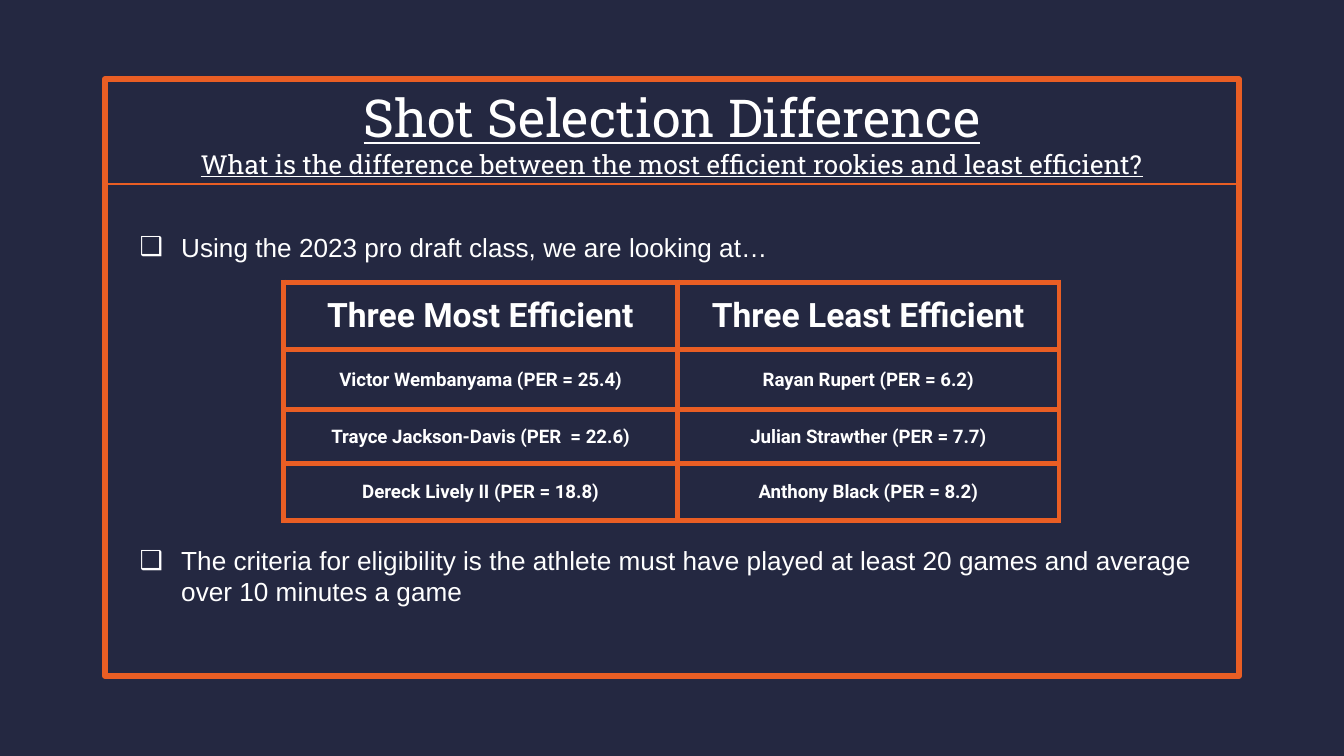
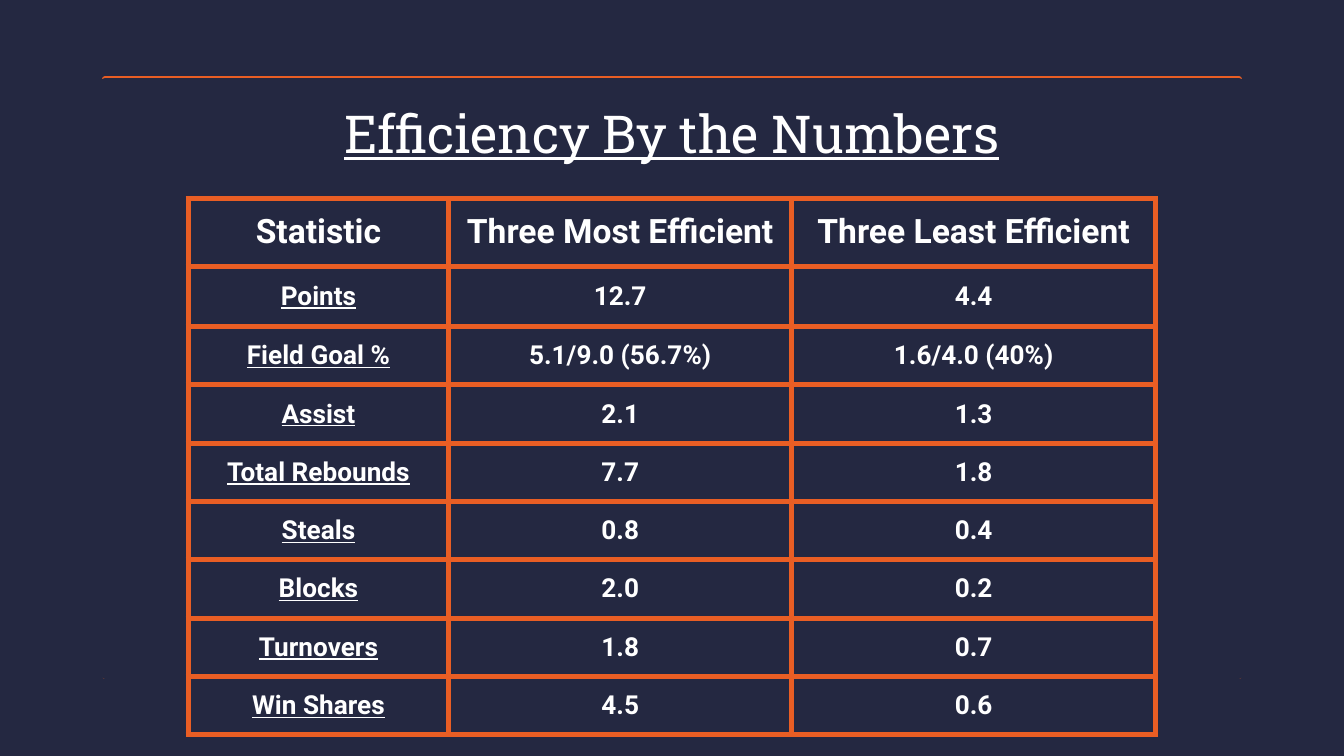
from pptx import Presentation
from pptx.dml.color import RGBColor as Rgb
from pptx.enum.shapes import MSO_SHAPE as Kind
from pptx.enum.text import MSO_ANCHOR as Anchor, PP_ALIGN as Align
from pptx.oxml import parse_xml
from pptx.oxml.ns import nsdecls
from pptx.util import Inches, Pt

HUE = {"navy": "242841", "flame": "E95E24", "white": "FFFFFF"}
SLAB, SANS, PLAIN = "Roboto Slab", "Roboto", "Arial"


def write(frame, text, size=14, font=PLAIN, bold=False, under=False,
          align=Align.CENTER, new=False, before=0, mark=None):
    para = frame.add_paragraph() if new else frame.paragraphs[0]
    para.alignment = align
    para.space_before = Pt(before)
    run = para.add_run()
    run.text = text
    run.font.size = Pt(size)
    run.font.name = font
    run.font.bold = bold
    run.font.underline = under
    run.font.color.rgb = Rgb.from_string(HUE["white"])
    if mark:
        props = para._p.get_or_add_pPr()
        props.set("marL", str(Inches(0.31)))
        props.set("indent", str(-Inches(0.31)))
        props.append(parse_xml(
            f'<a:buClr {nsdecls("a")}><a:srgbClr val="{HUE["white"]}"/></a:buClr>'))
        props.append(parse_xml(f'<a:buFont {nsdecls("a")} typeface="{font}"/>'))
        props.append(parse_xml(f'<a:buChar {nsdecls("a")} char="{mark}"/>'))


def outline(slide, top, high, hue, width):
    box = slide.shapes.add_shape(
        Kind.RECTANGLE, Inches(0.78), Inches(top), Inches(8.44), Inches(high))
    box.shadow.inherit = False
    box.fill.background()
    box.line.color.rgb = Rgb.from_string(HUE[hue])
    box.line.width = Pt(width)
    return box


deck = Presentation()
deck.slide_width = Inches(10)
deck.slide_height = Inches(10 * 9 / 16)

pages = []
for num in range(2):
    page = deck.slides.add_slide(deck.slide_layouts[6])
    page.background.fill.solid()
    page.background.fill.fore_color.rgb = Rgb.from_string(HUE["navy"])
    outline(page, 0.59, 4.44, "flame", 3)
    pages.append(page)
shots, stats = pages

band = outline(shots, 0.6, 0.77, "flame", 0.75)
outline(stats, 0.61, 4.41, "navy", 4.5)
head = stats.shapes.add_textbox(
    Inches(0.78), Inches(0.6), Inches(8.44), Inches(0.77))
for shape, title in [(band, "Shot Selection Difference"),
                     (head, "Efficiency By the Numbers")]:
    frame = shape.text_frame
    frame.word_wrap = True
    frame.vertical_anchor = Anchor.MIDDLE
    frame.margin_top = frame.margin_bottom = Inches(0.1)
    write(frame, title, size=28, font=SLAB, under=True)
write(band.text_frame,
      "What is the difference between the most efficient rookies and least efficient?",
      font=SLAB, under=True, new=True)

body = shots.shapes.add_textbox(
    Inches(0.94), Inches(1.67), Inches(8.15), Inches(2.93)).text_frame
body.word_wrap = True
write(body, "Using the 2023 pro draft class, we are looking at…",
      align=Align.LEFT, mark="❑")
write(body, "The criteria for eligibility is the athlete must have played "
      "at least 20 games and average over 10 minutes a game",
      align=Align.LEFT, mark="❑", new=True, before=151)

most, least = "Three Most Efficient", "Three Least Efficient"
picks = [
    (most, least),
    ("Victor Wembanyama (PER = 25.4)", "Rayan Rupert (PER = 6.2)"),
    ("Trayce Jackson-Davis (PER  = 22.6)", "Julian Strawther (PER = 7.7)"),
    ("Dereck Lively II (PER = 18.8)", "Anthony Black (PER = 8.2)"),
]
scores = [
    ("Statistic", most, least),
    ("Points", "12.7", "4.4"),
    ("Field Goal %", "5.1/9.0 (56.7%)", "1.6/4.0 (40%)"),
    ("Assist", "2.1", "1.3"),
    ("Total Rebounds", "7.7", "1.8"),
    ("Steals", "0.8", "0.4"),
    ("Blocks", "2.0", "0.2"),
    ("Turnovers", "1.8", "0.7"),
    ("Win Shares", "4.5", "0.6"),
]
grids = [
    (shots, picks, 2.11, 2.1, [2.93, 2.84], [0.48, 0.45, 0.4, 0.42], 10, False),
    (stats, scores, 1.4, 1.48, [1.94, 2.55, 2.71],
     [0.48, 0.45, 0.4] + [0.42] * 6, 14, True),
]
for page, rows, left, top, wide, high, size, label in grids:
    grid = page.shapes.add_table(
        len(rows), len(wide), Inches(left), Inches(top),
        Inches(sum(wide)), Inches(sum(high))).table
    grid.first_row = grid.horz_banding = False
    for col, width in zip(grid.columns, wide):
        col.width = Inches(width)
    for r, row in enumerate(rows):
        grid.rows[r].height = Inches(high[r])
        for c, text in enumerate(row):
            cell = grid.cell(r, c)
            cell.vertical_anchor = Anchor.MIDDLE
            cell.margin_top = cell.margin_bottom = Inches(0.1)
            cell.fill.background()
            write(cell.text_frame, text, size=size if r else 18, font=SANS,
                  bold=True, under=bool(label and r and c == 0))
            props = cell._tc.get_or_add_tcPr()
            for spot, side in enumerate("LRTB"):
                props.insert(spot, parse_xml(
                    f'<a:ln{side} {nsdecls("a")} w="{Pt(3)}"><a:solidFill>'
                    f'<a:srgbClr val="{HUE["flame"]}"/></a:solidFill></a:ln{side}>'))

deck.save("out.pptx")
